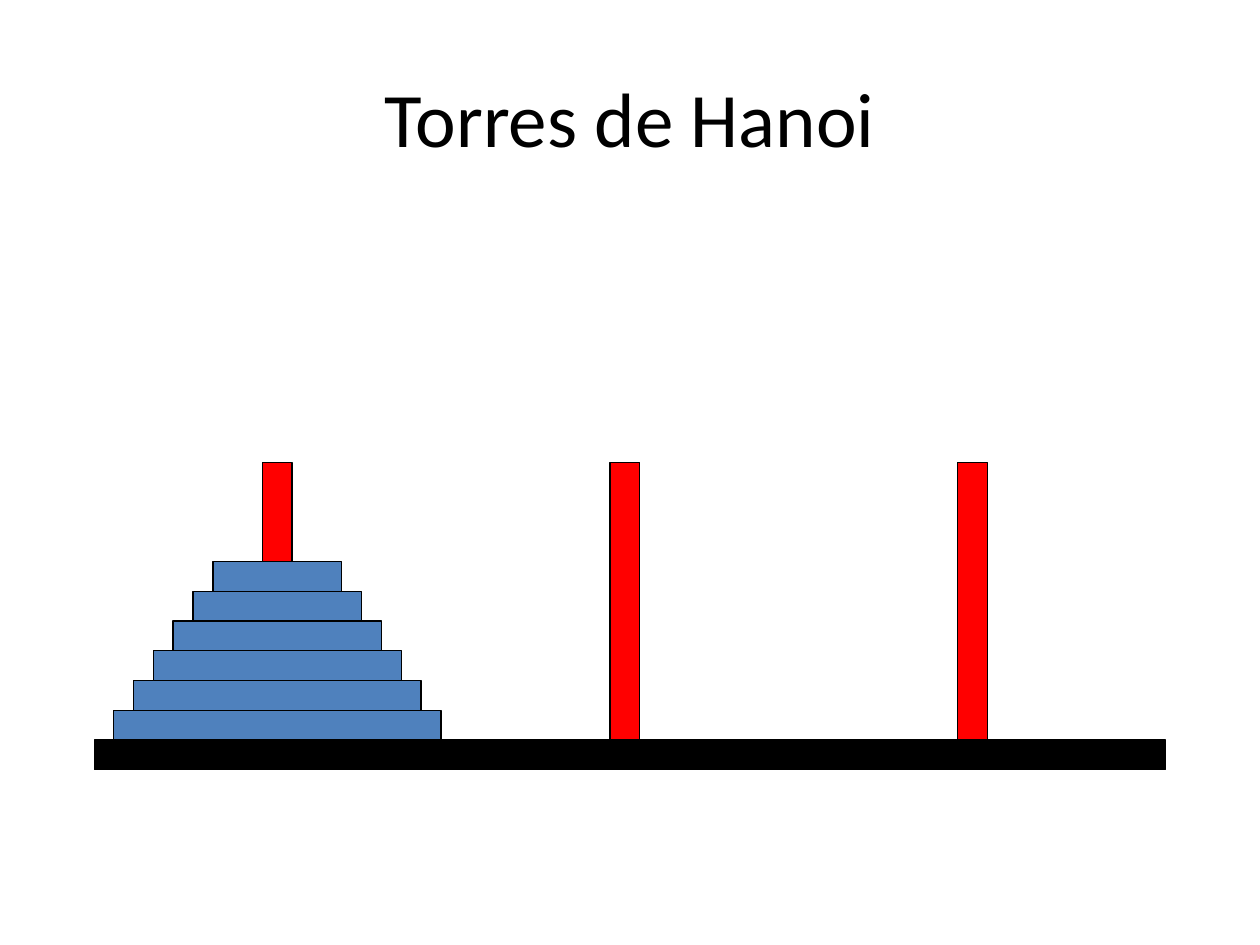
from pptx import Presentation
from pptx.dml.color import RGBColor
from pptx.enum import shapes, text
from pptx.util import Inches, Pt

COLORS = {"black": "000000", "disk": "4F81BD", "peg": "FF0000"}
DISK_COUNT = 6
PEG_COUNT = 3


def add_title(slide, left, top, width, height):
    title = slide.shapes.add_textbox(Inches(left), Inches(top), Inches(width), Inches(height))
    frame = title.text_frame
    frame.word_wrap = True
    frame.vertical_anchor = text.MSO_ANCHOR.MIDDLE
    frame.text = "Torres de Hanoi"
    paragraph = frame.paragraphs[0]
    paragraph.alignment = text.PP_ALIGN.CENTER
    font = paragraph.runs[0].font
    font.name = "Calibri"
    font.size = Pt(44)
    font.color.rgb = RGBColor.from_string(COLORS["black"])


def add_block(slide, left, top, width, height, color):
    block = slide.shapes.add_shape(
        shapes.MSO_SHAPE.RECTANGLE, Inches(left), Inches(top), Inches(width), Inches(height)
    )
    block.shadow.inherit = False
    block.fill.solid()
    block.fill.fore_color.rgb = RGBColor.from_string(COLORS[color])
    block.line.color.rgb = RGBColor.from_string(COLORS["black"])
    block.line.width = Pt(0.75)


def add_towers(slide, left, top, width, height):
    thickness = width / 36
    base_top = top + height - thickness
    add_block(slide, left, base_top, width, thickness, "black")

    first_center = left + 1.45
    widest, narrowest = 2.6, 1.02
    step = (widest - narrowest) / (DISK_COUNT - 1)
    for level in range(DISK_COUNT):
        disk_width = widest - level * step
        disk_top = base_top - (level + 1) * thickness
        add_block(slide, first_center - disk_width / 2, disk_top, disk_width, thickness, "disk")

    stack_top = base_top - DISK_COUNT * thickness
    for index in range(PEG_COUNT):
        peg_left = first_center + index * 2.76 - thickness / 2
        peg_bottom = stack_top if index == 0 else base_top
        add_block(slide, peg_left, top, thickness, peg_bottom - top, "peg")


def main():
    presentation = Presentation()
    presentation.slide_width = Inches(10)
    presentation.slide_height = Inches(7.5)
    slide = presentation.slides.add_slide(presentation.slide_layouts[6])
    add_title(slide, 0.5, 0.3, 9, 1.25)
    add_towers(slide, 0.75, 3.67, 8.5, 2.44)
    presentation.save("out.pptx")


if __name__ == "__main__":
    main()
